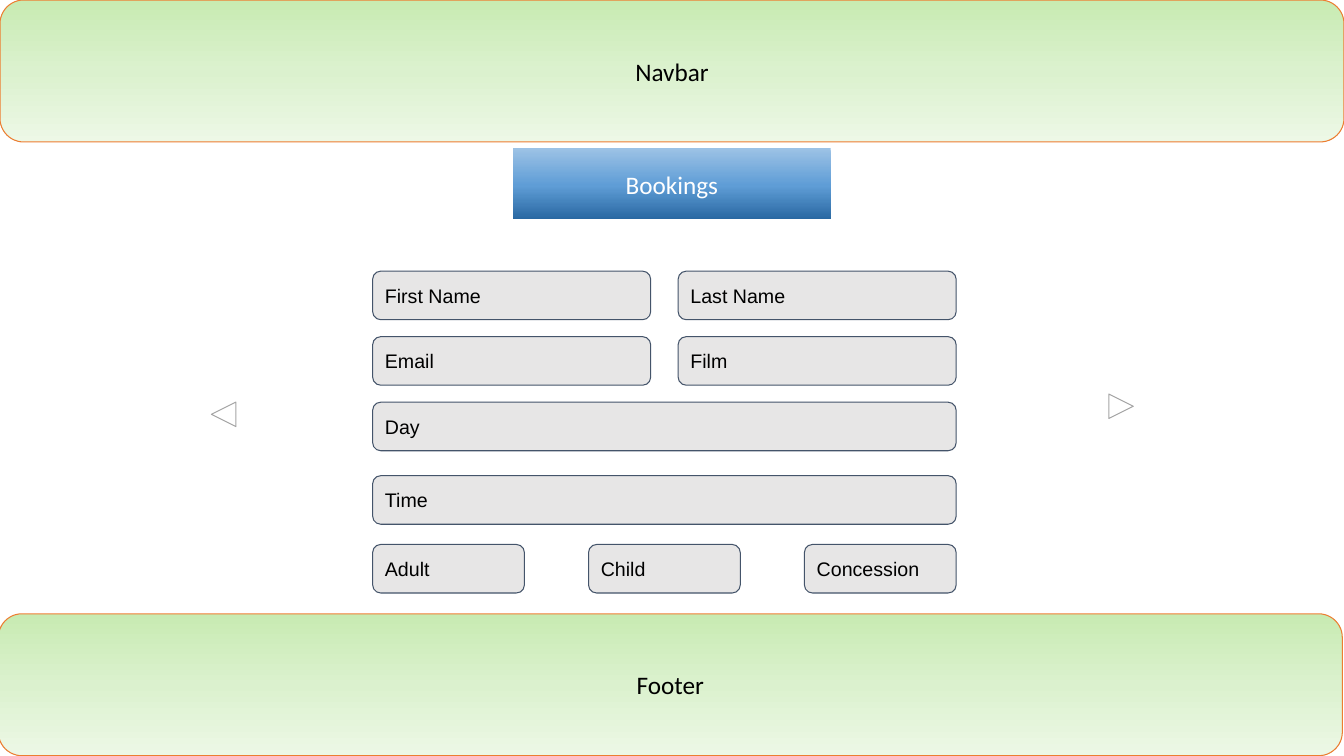
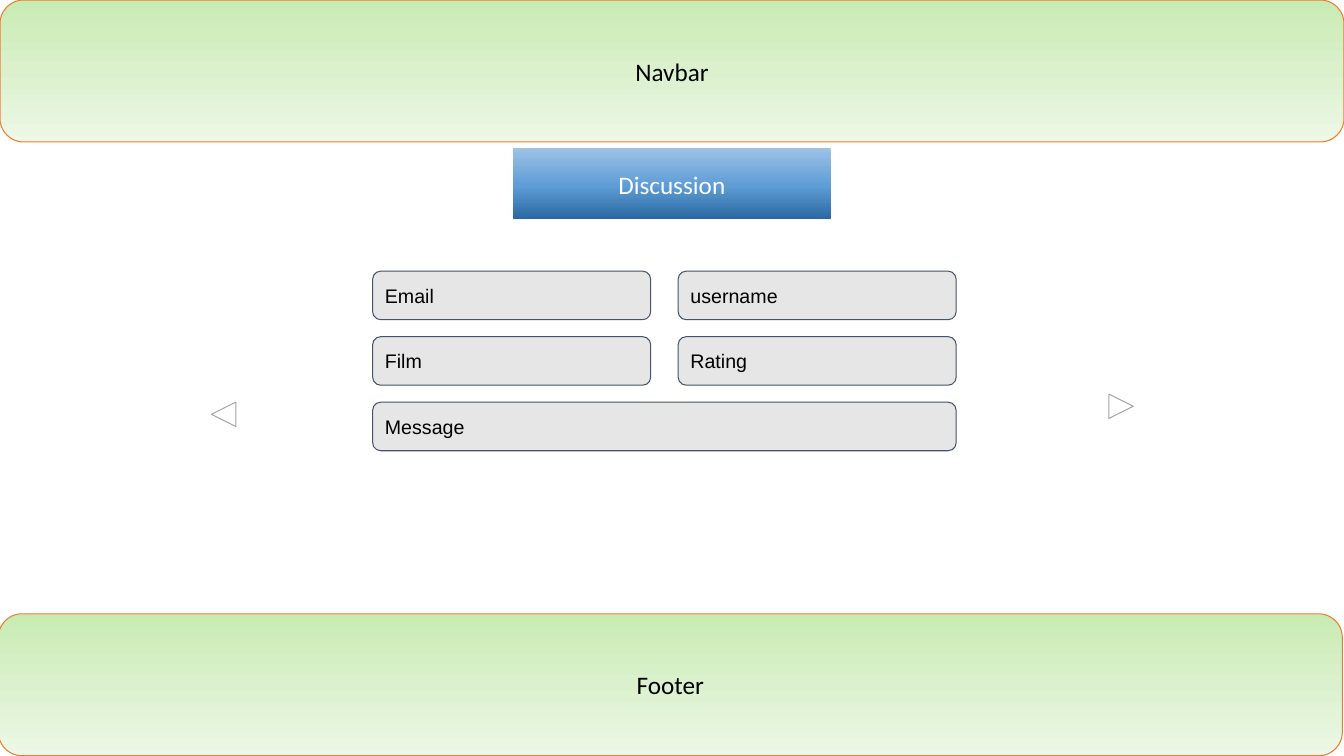
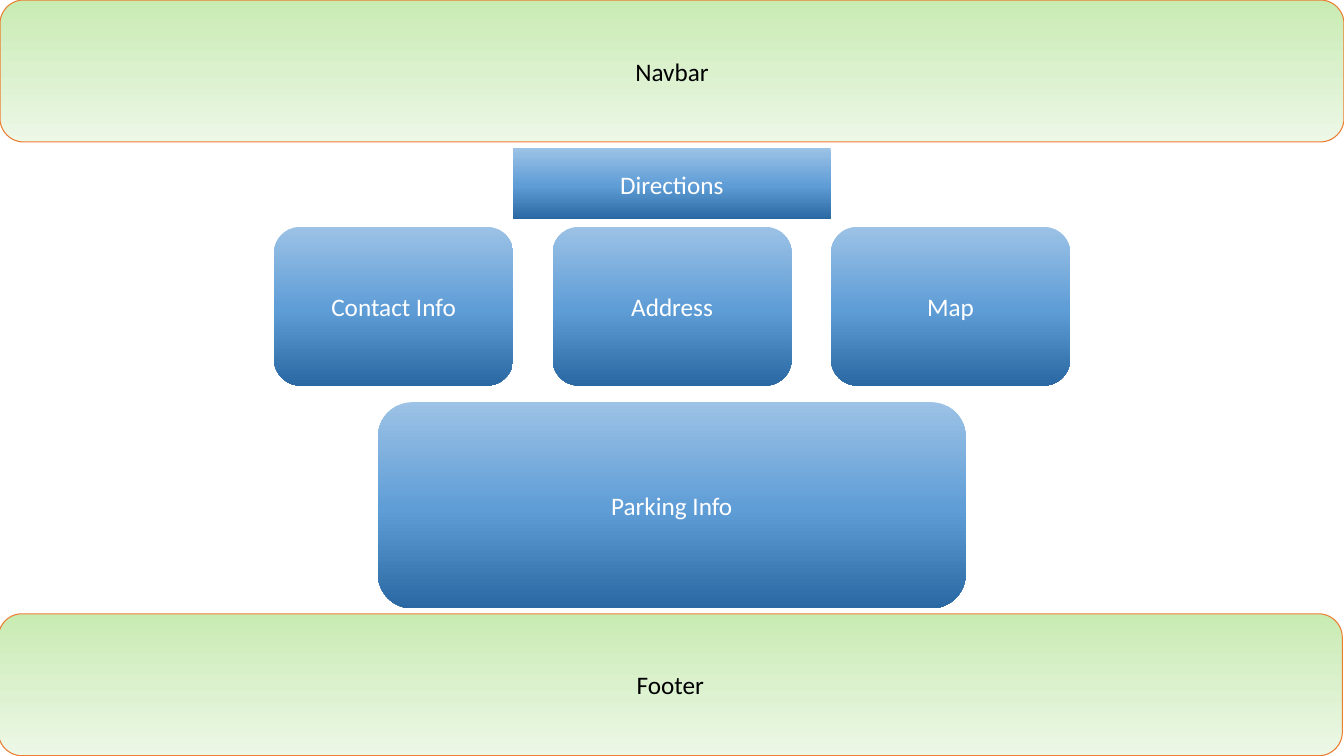
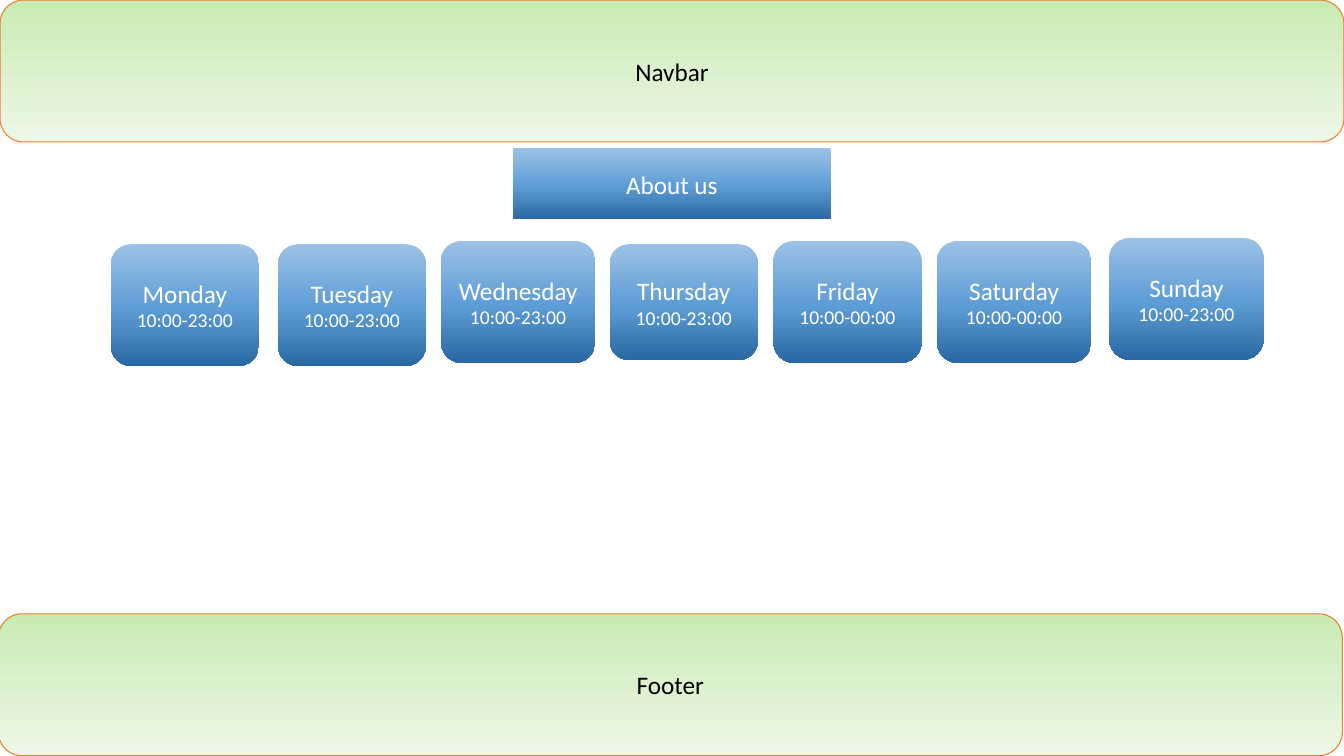
from copy import deepcopy
from dataclasses import dataclass

from pptx import Presentation
from pptx.dml.color import RGBColor
from pptx.enum.shapes import MSO_SHAPE as Kind
from pptx.enum.text import MSO_ANCHOR as Anchor, MSO_AUTO_SIZE as AutoSize, PP_ALIGN as Align
from pptx.oxml.ns import qn
from pptx.oxml.xmlchemy import OxmlElement
from pptx.util import Pt

BOOKINGS = [
    (193.7, ["First Name", "Last Name"]),
    (240.5, ["Email", "Film"]),
    (287.3, ["Day"]),
    (339.8, ["Time"]),
    (388.9, ["Adult", "Child", "Concession"]),
]
DISCUSSION = [
    (193.7, ["Email", "username"]),
    (240.5, ["Film", "Rating"]),
    (287.3, ["Message"]),
]
DIRECTIONS = ["Contact Info", "Address", "Map"]
PARKING = ("Parking Info", (270, 287.3, 419.8, 147.3))
HOURS = [
    ("Monday", "10:00-23:00", (79.2, 174.4, 105.8, 87)),
    ("Tuesday", "10:00-23:00", (198.5, 174.4, 105.8, 87)),
    ("Wednesday", "10:00-23:00", (315, 172.1, 110.2, 87)),
    ("Thursday", "10:00-23:00", (435.6, 174.4, 105.8, 82.8)),
    ("Friday", "10:00-00:00", (552.5, 172.1, 105.8, 87)),
    ("Saturday", "10:00-00:00", (669.3, 172.1, 110.2, 87)),
    ("Sunday", "10:00-23:00", (792.4, 169.9, 110.2, 87)),
]

SLIDE_SIZE = (960, 540)
BANDS = [("Navbar", (0, 0, 960, 101.4)), ("Footer", (-1.2, 438.4, 960, 101.4))]
TITLE_AREA = (366.5, 106, 226.8, 50.8)
ARROWS = [((792, 281.4, 17.5, 17.5), 270), ((151, 287.2, 17.5, 17.5), 90)]
FORM_LEFT, FORM_WIDTH, FIELD_HEIGHT = 266.2, 416.8, 34.7
FIELD_WIDTHS = {1: FORM_WIDTH, 2: 198.6, 3: 108.4}
CARD_LEFT, CARD_TOP, CARD_STEP, CARD_SIZE = 195.8, 162, 198.9, (170.8, 113.4)


@dataclass(frozen=True)
class Theme:
    green: tuple = ((0, "C8EBB2"), (0.5, "DBF1CE"), (1, "EDF8E6"))
    blue: tuple = ((0, "9CC2E5"), (0.52, "5F9DD6"), (1, "2968A2"))
    orange: str = "ED7D31"
    slate: str = "44546A"
    silver: str = "A5A5A5"
    field: str = "E7E6E6"
    white: str = "FFFFFF"
    black: str = "000000"
    main_font: str = "Calibri"
    form_font: str = "Arial"
    large: int = 18
    small: int = 14
    line: float = 0.75


THEME = Theme()


def rgb(value):
    return RGBColor.from_string(value)


def apply(target, formats):
    for name, value in formats.items():
        setattr(target, name, value)


def place(shape, area):
    apply(shape, dict(zip(("left", "top", "width", "height"), map(Pt, area))))


def paint(shape, fill, line=None):
    if isinstance(fill, str):
        shape.fill.solid()
        shape.fill.fore_color.rgb = rgb(fill)
    else:
        shape.fill.gradient()
        shape.fill.gradient_angle = 270
        stop_list = shape.element.spPr.find(qn("a:gradFill")).find(qn("a:gsLst"))
        stop_list.append(deepcopy(stop_list[0]))
        for stop, (position, color) in zip(shape.fill.gradient_stops, fill):
            stop.position = position
            stop.color.rgb = rgb(color)
    if line:
        shape.line.color.rgb = rgb(line)
        shape.line.width = Pt(THEME.line)
    else:
        shape.line.fill.background()


def write(shape, lines, color, font=THEME.main_font, align=Align.CENTER):
    frame = shape.text_frame
    apply(frame, {"word_wrap": True, "vertical_anchor": Anchor.MIDDLE,
                  "auto_size": AutoSize.NONE})
    for index, (text, size) in enumerate(lines):
        para = frame.add_paragraph() if index else frame.paragraphs[0]
        para.alignment = align
        span = para.add_run()
        span.text = text
        apply(span.font, {"name": font, "size": Pt(size)})
        span.font.color.rgb = rgb(color)


def add_box(page, kind, area, fill, line=None):
    box = page.shapes.add_shape(kind, *map(Pt, area))
    box.shadow.inherit = False
    paint(box, fill, line)
    return box


def add_card(page, area, lines):
    card = add_box(page, Kind.ROUNDED_RECTANGLE, area, THEME.blue)
    write(card, lines, THEME.white)


def add_title(page, text):
    title = page.shapes.title
    place(title, TITLE_AREA)
    outline = OxmlElement("a:prstGeom")
    outline.set("prst", "roundRect")
    outline.append(OxmlElement("a:avLst"))
    title.element.spPr.insert(1, outline)
    paint(title, THEME.blue)
    write(title, [(text, THEME.large)], THEME.white)


def add_page(deck, title):
    page = deck.slides.add_slide(deck.slide_layouts[5])
    for text, area in BANDS:
        band = add_box(page, Kind.ROUNDED_RECTANGLE, area, THEME.green, THEME.orange)
        write(band, [(text, THEME.large)], THEME.black)
    add_title(page, title)
    return page


def add_field(page, area, label):
    field = add_box(page, Kind.FLOWCHART_ALTERNATE_PROCESS, area, THEME.field, THEME.slate)
    apply(field.text_frame, {"margin_top": Pt(7.2), "margin_bottom": Pt(7.2)})
    write(field, [(label, THEME.small)], THEME.black, THEME.form_font, Align.LEFT)


def add_form(page, rows):
    for area, turn in ARROWS:
        arrow = add_box(page, Kind.FLOWCHART_MERGE, area, THEME.white, THEME.silver)
        arrow.rotation = turn
    for top, labels in rows:
        width = FIELD_WIDTHS[len(labels)]
        step = (FORM_WIDTH - width) / max(len(labels) - 1, 1)
        for column, label in enumerate(labels):
            add_field(page, (FORM_LEFT + column * step, top, width, FIELD_HEIGHT), label)


def add_directions(page, labels):
    for column, label in enumerate(labels):
        area = (CARD_LEFT + column * CARD_STEP, CARD_TOP, *CARD_SIZE)
        add_card(page, area, [(label, THEME.large)])
    label, area = PARKING
    add_card(page, area, [(label, THEME.large)])


def add_hours(page, days):
    for day, hours, area in days:
        add_card(page, area, [(day, THEME.large), (hours, THEME.small)])


PAGES = [
    ("Bookings", add_form, BOOKINGS),
    ("Discussion", add_form, DISCUSSION),
    ("Directions", add_directions, DIRECTIONS),
    ("About us", add_hours, HOURS),
]


def main():
    deck = Presentation()
    deck.slide_width, deck.slide_height = map(Pt, SLIDE_SIZE)
    for title, fill_page, content in PAGES:
        fill_page(add_page(deck, title), content)
    deck.save("out.pptx")


if __name__ == "__main__":
    main()
